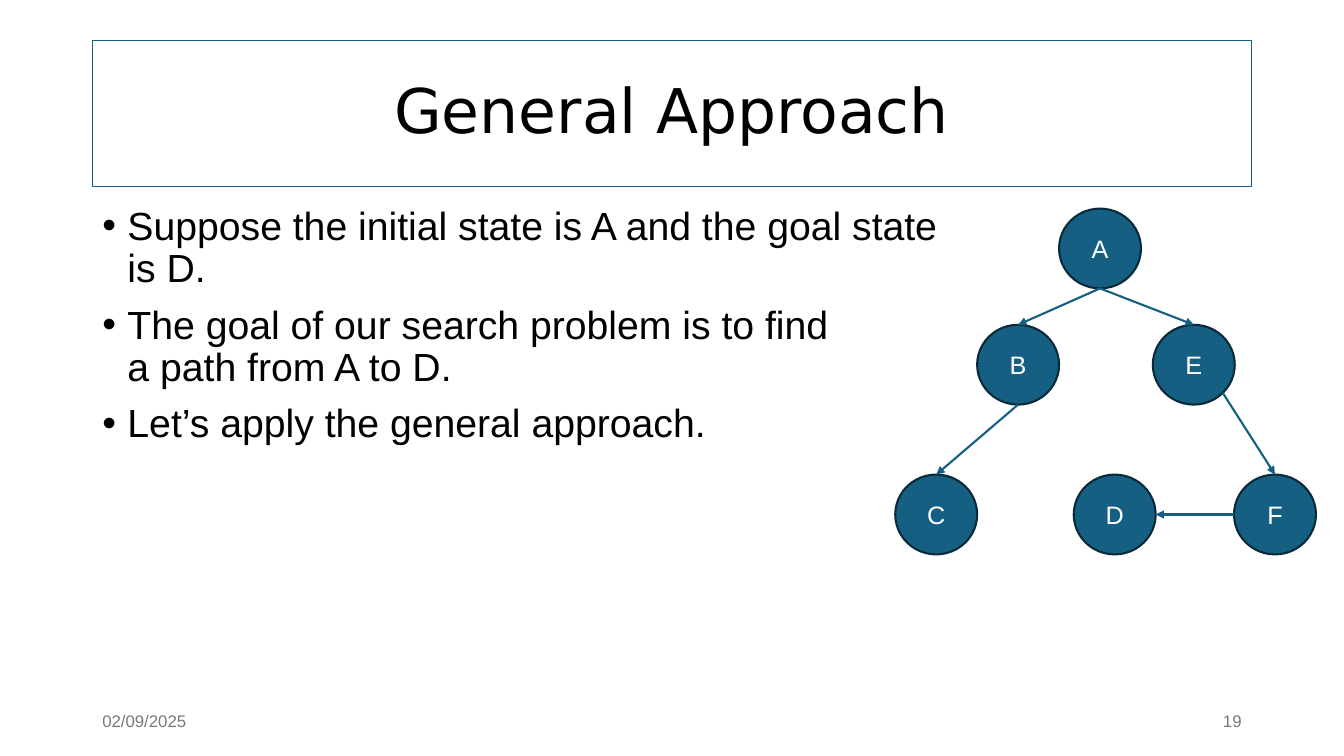
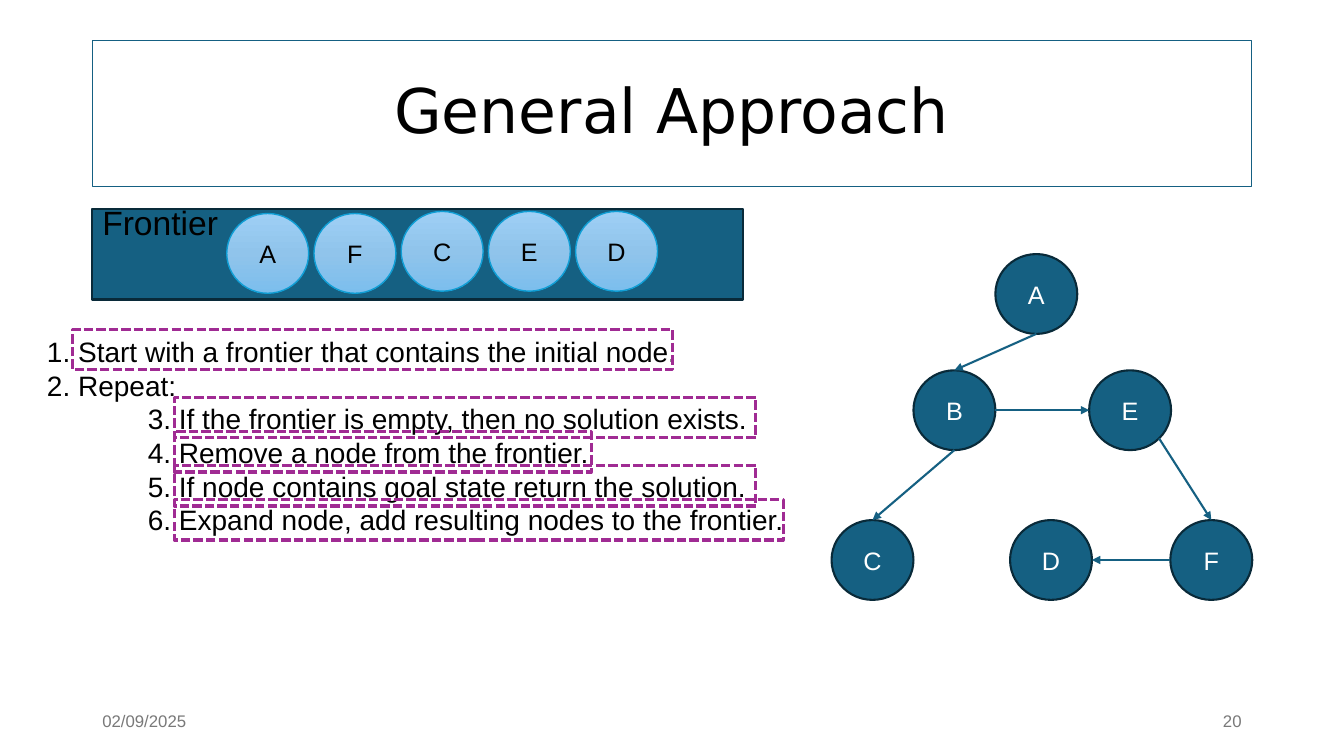
from copy import deepcopy
from lxml.etree import SubElement
from pptx import Presentation
from pptx.dml.color import RGBColor
from pptx.enum.dml import MSO_LINE
from pptx.enum.shapes import MSO_CONNECTOR, MSO_SHAPE
from pptx.enum.text import MSO_ANCHOR, PP_ALIGN
from pptx.oxml.ns import qn
from pptx.util import Pt

HUES = {
    "blue": "156082", "navy": "092A39", "black": "000000", "white": "FFFFFF",
    "gray": "797979", "plum": "A02B93", "sky": "0F9ED5",
    "light": "9ECFF5", "mid": "90C4EB", "deep": "7CBEED",
}
RGB = {name: RGBColor.from_string(code) for name, code in HUES.items()}


def write(frame, text, size, hue="black", align=PP_ALIGN.LEFT,
          anchor=MSO_ANCHOR.TOP, face="Arial"):
    frame.text = text
    frame.word_wrap = True
    frame.vertical_anchor = anchor
    for para in frame.paragraphs:
        para.alignment = align
        for run in para.runs:
            run.font.size = Pt(size)
            run.font.name = face
            run.font.color.rgb = RGB[hue]


def draw(slide, kind, x, y, wide, high, fill, edge, weight):
    shape = slide.shapes.add_shape(kind, Pt(x), Pt(y), Pt(wide), Pt(high))
    shape.shadow.inherit = False
    if fill:
        shape.fill.solid()
        shape.fill.fore_color.rgb = RGB[fill]
    else:
        shape.fill.background()
    shape.line.color.rgb = RGB[edge]
    shape.line.width = Pt(weight)
    return shape


# Shared measures
LEFT, WIDE = 66, 828
NODE_W, NODE_H = 58.5, 57
NODES = {"A": (117, 0), "B": (58.5, 83), "E": (184, 83),
         "C": (0, 190), "D": (127.5, 190), "F": (242, 190)}
# Connection sites of an ellipse, as shares of its width and height
SITES = {0: (0.5, 0), 2: (0, 0.5), 4: (0.5, 1), 5: (0.854, 0.854), 6: (1, 0.5)}
EDGES = [("A", 4, "B", 0), ("B", 4, "C", 0), ("F", 2, "D", 6), ("E", 5, "F", 0)]

# Page number, body text, body size, tree corner, edge into E
PAGES = [
    (19, "Suppose the initial state is A and the goal state\vis D.\n"
         "The goal of our search problem is to find\va path from A to D.\n"
         "Let’s apply the general approach.",
     28, (639.5, 149), ("A", 4, "E", 0)),
    (20, "Frontier", 24, (594, 181.5), ("B", 6, "E", 2)),
]

prs = Presentation()
prs.slide_width, prs.slide_height = Pt(960), Pt(540)

for page, text, size, (left, top), extra in PAGES:
    slide = prs.slides.add_slide(prs.slide_layouts[5])

    # Title
    title = slide.shapes.title
    title.left, title.top, title.width, title.height = (
        Pt(LEFT), Pt(28.75), Pt(WIDE), Pt(104.4))
    title.line.color.rgb = RGB["blue"]
    title.line.width = Pt(0.75)
    write(title.text_frame, "General Approach", 44, align=PP_ALIGN.CENTER,
          anchor=MSO_ANCHOR.MIDDLE, face="DejaVu Sans")
    title.text_frame.paragraphs[0].line_spacing = 0.9

    # Frontier bar
    if page == 20:
        draw(slide, MSO_SHAPE.RECTANGLE, LEFT, 149, 465, 65, "blue", "navy", 1.5)

    # Body
    body = slide.shapes.add_textbox(Pt(LEFT), Pt(144), Pt(WIDE), Pt(343))
    write(body.text_frame, text, size)
    for i, para in enumerate(body.text_frame.paragraphs):
        if page == 19:
            props = para._p.get_or_add_pPr()
            props.set("marL", str(Pt(18)))
            props.set("indent", str(Pt(-18)))
            SubElement(props, qn("a:buFont")).set("typeface", "Arial")
            SubElement(props, qn("a:buChar")).set("char", "•")
        para.line_spacing = 0.9
        if i:
            para.space_before = Pt(10)

    # Tree nodes
    balls = {}
    for name, (x, y) in NODES.items():
        ball = draw(slide, MSO_SHAPE.OVAL, left + x, top + y, NODE_W, NODE_H,
                    "blue", "navy", 1.5)
        write(ball.text_frame, name, 18, "white", PP_ALIGN.CENTER, MSO_ANCHOR.MIDDLE)
        balls[name] = ball

    # Tree arrows, glued to the nodes
    for start, out, end, into in EDGES + [extra]:
        ends = []
        for name, site in ((start, out), (end, into)):
            ball, (across, down) = balls[name], SITES[site]
            ends += [int(ball.left + across * ball.width),
                     int(ball.top + down * ball.height)]
        arrow = slide.shapes.add_connector(MSO_CONNECTOR.STRAIGHT, *ends)
        arrow.line.color.rgb = RGB["blue"]
        arrow.line.width = Pt(1.5)
        SubElement(arrow.line._get_or_add_ln(), qn("a:tailEnd")).set("type", "triangle")
        SubElement(arrow._element.spPr, qn("a:effectLst"))
        joint = arrow._element.nvCxnSpPr.cNvCxnSpPr
        for tag, name, site in (("a:stCxn", start, out), ("a:endCxn", end, into)):
            glue = SubElement(joint, qn(tag))
            glue.set("id", str(balls[name].shape_id))
            glue.set("idx", str(site))

    # Date and page number
    for x, note, align in ((LEFT, "02/09/2025", PP_ALIGN.LEFT),
                           (678, str(page), PP_ALIGN.RIGHT)):
        foot = slide.shapes.add_textbox(Pt(x), Pt(500.5), Pt(216), Pt(28.75))
        write(foot.text_frame, note, 12, "gray", align, MSO_ANCHOR.MIDDLE)

# Steps of the search, on the last slide
steps = slide.shapes.add_textbox(Pt(26.5), Pt(235.5), Pt(557), Pt(152.5))
write(steps.text_frame,
      "1. Start with a frontier that contains the initial node.\n"
      "2. Repeat:\n"
      "3. If the frontier is empty, then no solution exists.\n"
      "4. Remove a node from the frontier.\n"
      "5. If node contains goal state return the solution.\n"
      "6. Expand node, add resulting nodes to the frontier.", 20)
for para in steps.text_frame.paragraphs[2:]:
    para._p.get_or_add_pPr().set("marL", str(Pt(72)))

# Dashed frames around the steps
for row, x, wide in ((0, 52, 428.5), (2, 124.5, 415.5), (3, 124.5, 298),
                     (4, 124.5, 415.5), (5, 124.5, 435)):
    box = draw(slide, MSO_SHAPE.RECTANGLE, x, 235.5 + 24.3 * row, wide, 28.75,
               None, "plum", 2.25)
    box.line.dash_style = MSO_LINE.SQUARE_DOT

# Nodes in the frontier
for i, (name, y) in enumerate(zip("AFCED", (152.5, 152.5, 151, 151, 151))):
    chip = draw(slide, MSO_SHAPE.OVAL, 162 + 62.3 * i, y, NODE_W, NODE_H,
                "light", "sky", 1)
    chip.fill.gradient()
    chip.fill.gradient_angle = 270
    stops = chip._element.spPr.find(".//" + qn("a:gsLst"))
    stops.insert(1, deepcopy(stops[0]))
    for stop, hue, place in zip(chip.fill.gradient_stops,
                                ("light", "mid", "deep"), (0, 0.5, 1)):
        stop.color.rgb = RGB[hue]
        stop.position = place
    write(chip.text_frame, name, 18, "black", PP_ALIGN.CENTER, MSO_ANCHOR.MIDDLE)

prs.save("out.pptx")
